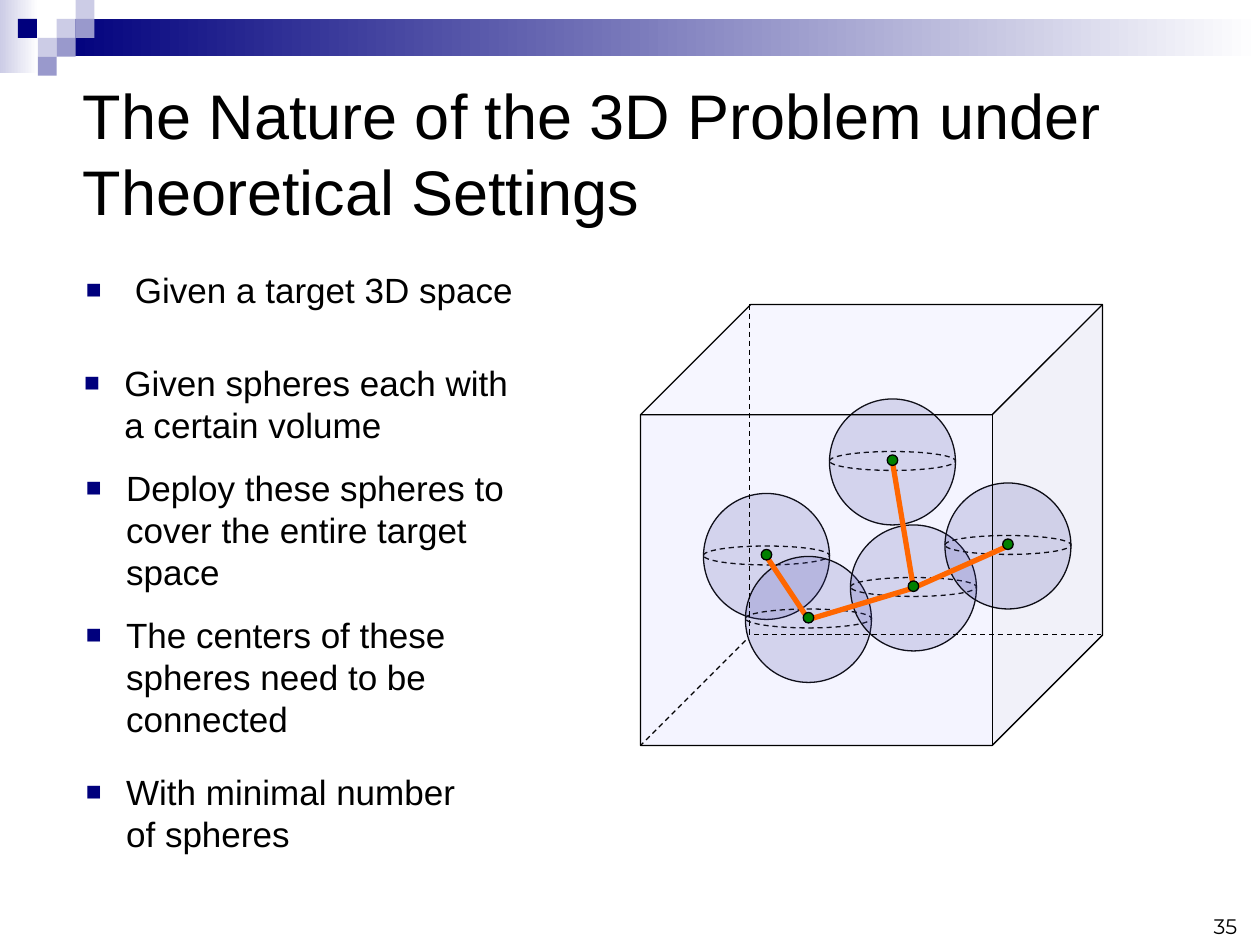
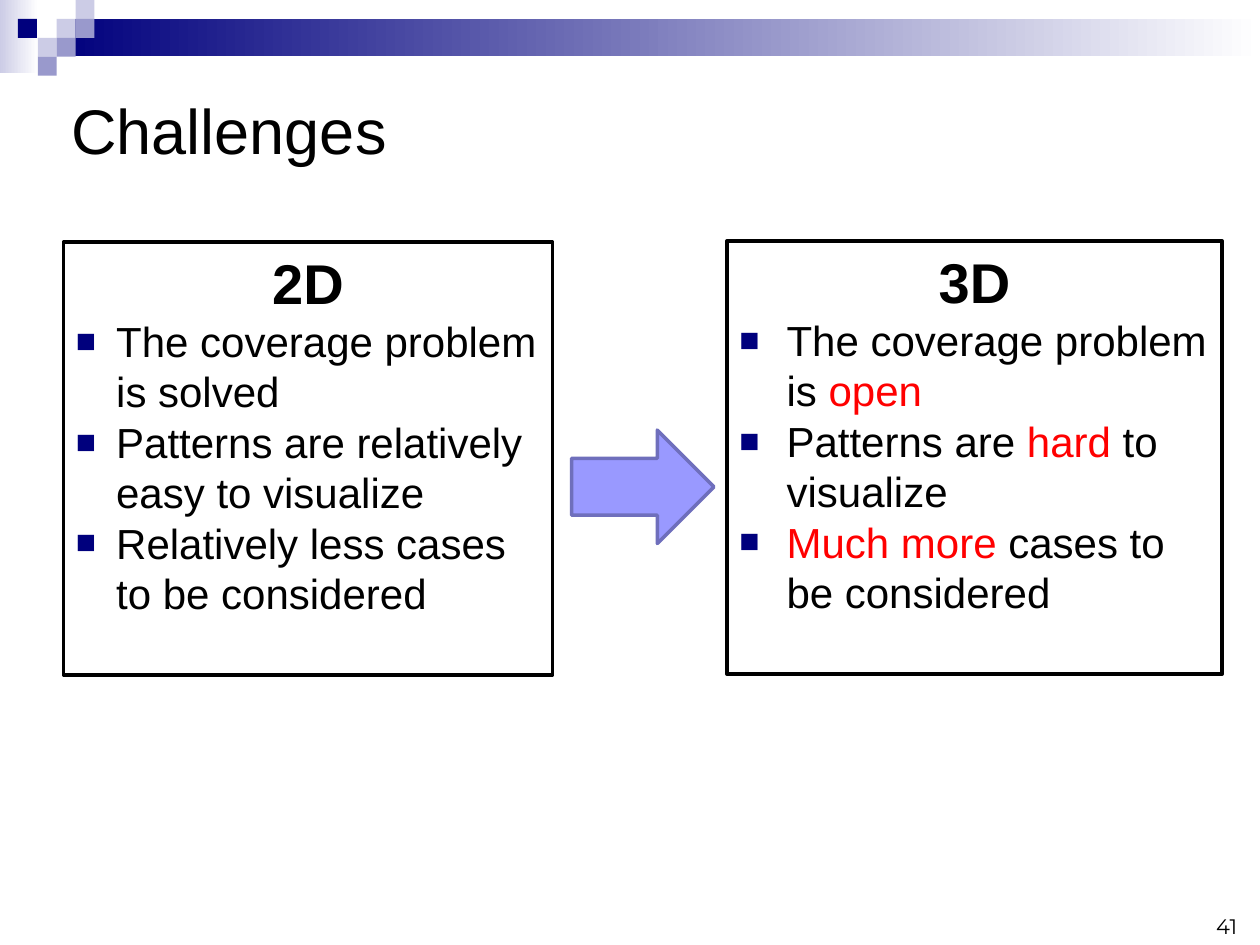
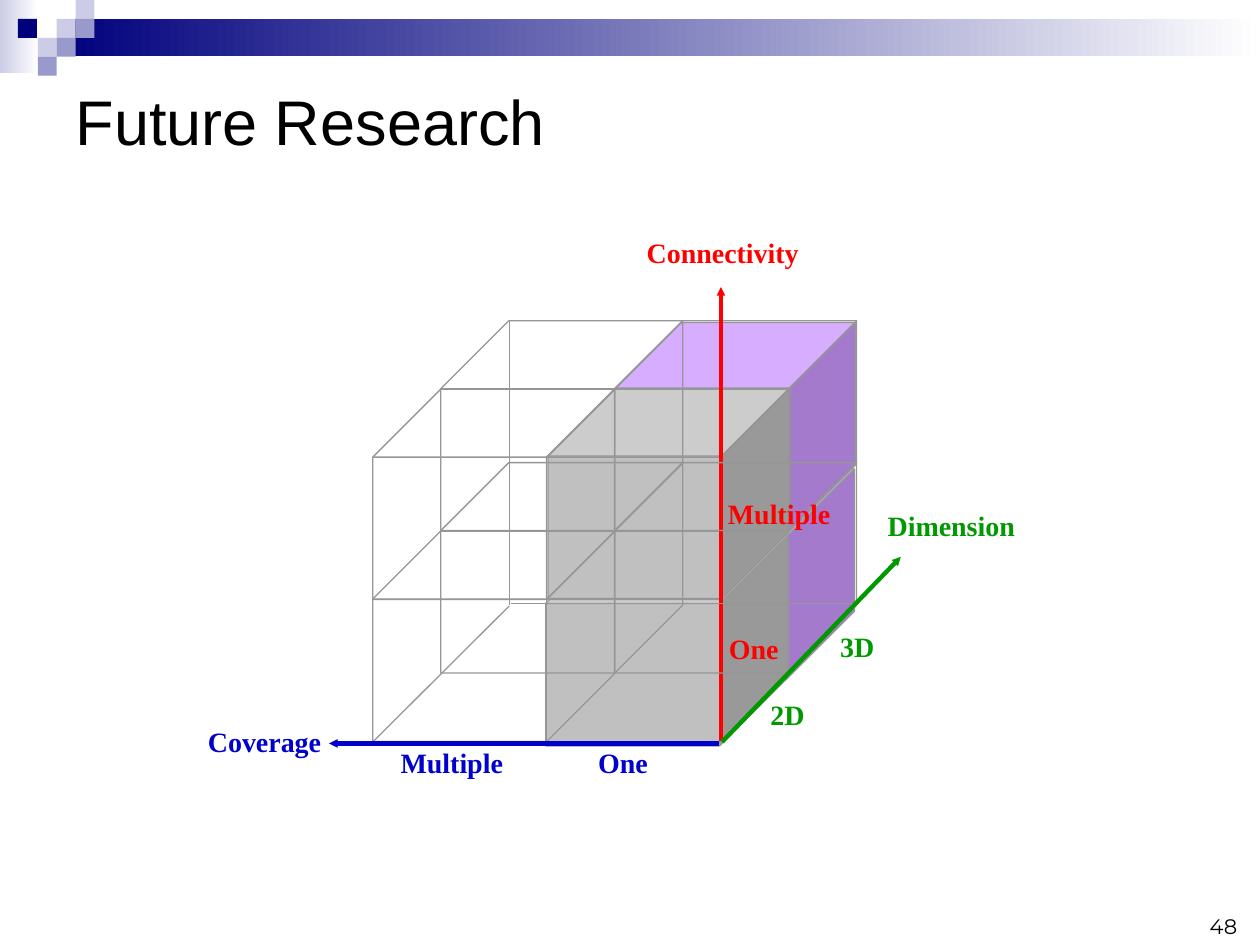
from lxml import etree
from pptx import Presentation
from pptx.dml.color import RGBColor
from pptx.enum.dml import MSO_LINE
from pptx.enum.shapes import MSO_CONNECTOR, MSO_SHAPE
from pptx.enum.text import MSO_ANCHOR, MSO_AUTO_SIZE, PP_ALIGN
from pptx.oxml.ns import qn
from pptx.util import Pt

RECTANGLE = MSO_SHAPE.RECTANGLE
ELLIPSE = MSO_SHAPE.OVAL
CUBE = MSO_SHAPE.CUBE
RIGHT_ARROW = MSO_SHAPE.RIGHT_ARROW
STRAIGHT = MSO_CONNECTOR.STRAIGHT
DASH = MSO_LINE.DASH
TOP, MIDDLE, BOTTOM = MSO_ANCHOR.TOP, MSO_ANCHOR.MIDDLE, MSO_ANCHOR.BOTTOM
LEFT, CENTER, RIGHT = PP_ALIGN.LEFT, PP_ALIGN.CENTER, PP_ALIGN.RIGHT
NO_AUTOFIT = MSO_AUTO_SIZE.NONE

COLORS = {
    "black": "000000", "white": "FFFFFF", "navy": "00007D",
    "pale": "CCCCE6", "lavender": "9999CC", "sphere": "333399",
    "periwinkle": "9999FF", "arrow edge": "6F6FBC", "orange": "FF6600",
    "node": "008000", "purple": "CC99FF", "silver": "C0C0C0",
    "gray": "969696", "red": "FF0000", "blue": "0000CC", "green": "009900",
}


def add_figure(slide, kind, bounds, fill=None, line=None, width=0.75, opacity=100, dash=None):
    shape = slide.shapes.add_shape(kind, *[Pt(value) for value in bounds])
    shape.shadow.inherit = False
    if fill:
        shape.fill.solid()
        shape.fill.fore_color.rgb = RGBColor.from_string(COLORS[fill])
        if opacity < 100:
            color = shape.element.spPr.find(qn("a:solidFill"))[0]
            etree.SubElement(color, qn("a:alpha"), val=str(opacity * 1000))
    else:
        shape.fill.background()
    if line:
        shape.line.color.rgb = RGBColor.from_string(COLORS[line])
        shape.line.width = Pt(width)
        if dash:
            shape.line.dash_style = dash
    else:
        shape.line.fill.background()
    return shape


def add_line(slide, start, end, color, width=0.75, dash=None, arrow=False):
    points = [Pt(value) for value in (*start, *end)]
    connector = slide.shapes.add_connector(STRAIGHT, *points)
    connector.line.color.rgb = RGBColor.from_string(COLORS[color])
    connector.line.width = Pt(width)
    if dash:
        connector.line.dash_style = dash
    properties = connector.element.spPr
    if arrow:
        outline = properties.find(qn("a:ln"))
        etree.SubElement(outline, qn("a:tailEnd"), type="triangle", w="sm", len="sm")
    etree.SubElement(properties, qn("a:effectLst"))


presentation = Presentation()
presentation.slide_width = Pt(720)
presentation.slide_height = Pt(540)
text_styles = []

TILE = 10.8
TILES = [
    (3, 1, "pale"), (4, 0, "pale"), (4, 1, "lavender"), (2, 2, "pale"),
    (0.95, 1, "navy"), (3, 2, "lavender"), (2, 3, "lavender"),
]
BANDS = [((0, 0, 22, 42), "pale"), ((32.4, 10.8, 687.6, 21.4), "navy")]
PAGES = [
    ("The Nature of the 3D Problem under Theoretical Settings", "35", (40, 40.3, 618, 93.6), TOP),
    ("Challenges", "41", (33.6, 52, 648, 44), MIDDLE),
    ("Future Research", "48", (36, 36, 648, 66), MIDDLE),
]
slides = []
for title_text, number, bounds, anchor in PAGES:
    slide = presentation.slides.add_slide(presentation.slide_layouts[5])
    slides.append(slide)
    for band_bounds, color in BANDS:
        band = add_figure(slide, RECTANGLE, band_bounds)
        band.fill.gradient()
        band.fill.gradient_angle = 0
        for stop, stop_color in zip(band.fill.gradient_stops, (color, "white")):
            stop.color.rgb = RGBColor.from_string(COLORS[stop_color])
    for column, row, color in TILES:
        add_figure(slide, RECTANGLE, (column * TILE, row * TILE, TILE, TILE), color)

    title = slide.shapes.title
    title.left, title.top, title.width, title.height = [Pt(value) for value in bounds]
    title.text_frame.text = title_text
    title.text_frame.word_wrap = True
    title.text_frame.auto_size = NO_AUTOFIT
    title.text_frame.vertical_anchor = anchor
    text_styles.append((title.text_frame.paragraphs[0], "Arial", 36, "black", False, LEFT, None))

    page_number = slide.shapes.add_textbox(Pt(546), Pt(504), Pt(168), Pt(36))
    page_number.text_frame.text = number
    page_number.text_frame.word_wrap = True
    page_number.text_frame.vertical_anchor = BOTTOM
    text_styles.append((page_number.text_frame.paragraphs[0], "Montserrat", 12, "black", False, RIGHT, None))

problem_slide, challenges_slide, research_slide = slides

STATEMENTS = [
    ("Given a target 3D space", 42, 150, 276, 1, 28),
    ("Given spheres each with a certain volume", 41, 203, 271, 2, 23),
    ("Deploy these spheres to cover the entire target space", 42, 263, 258, 3, 23),
    ("The centers of these spheres need to be connected", 42, 347, 294, 3, 23),
    ("With minimal number of spheres", 42, 437, 246, 2, 23),
]
for text, left, top, width, line_count, indent in STATEMENTS:
    statement = problem_slide.shapes.add_textbox(Pt(left), Pt(top), Pt(width), Pt(24 * line_count + 7.2))
    statement.text_frame.text = text
    statement.text_frame.word_wrap = True
    text_styles.append((statement.text_frame.paragraphs[0], "Arial", 20, "black", False, LEFT, (indent, 75)))

CENTERS = [(438, 318), (462, 354), (522, 336), (510, 264), (576, 312)]
LINKS = [(0, 1), (1, 2), (2, 3), (2, 4)]
for x, y in CENTERS:
    add_figure(problem_slide, ELLIPSE, (x - 36, y - 36, 72, 72), "sphere", "black", opacity=18)
    add_figure(problem_slide, ELLIPSE, (x - 36, y - 6, 72, 10.8), line="black", dash=DASH)
add_figure(problem_slide, CUBE, (366, 174, 264, 252), "periwinkle", "black", opacity=10)
for start, end in [((428.5, 174), (428.5, 364)), ((431, 362.5), (629, 362.5)), ((426, 366), (366, 426))]:
    add_line(problem_slide, start, end, "black", dash=DASH)
for first, second in LINKS:
    add_line(problem_slide, CENTERS[first], CENTERS[second], "orange", 3)
for x, y in CENTERS:
    add_figure(problem_slide, ELLIPSE, (x - 3, y - 4, 6, 6), "node", "black")

EMPHASIS = {"open", "hard", "Much more "}
CARDS = [
    ("2D", (36.3, 138.3, 279.4, 247.5), 23, [
        ["The coverage problem is solved"],
        ["Patterns are relatively easy to visualize"],
        ["Relatively less cases to be considered"],
    ]),
    ("3D", (415.4, 137.8, 283, 247.5), 27, [
        ["The coverage problem is ", "open"],
        ["Patterns are ", "hard", " to visualize"],
        ["Much more ", "cases to be considered"],
    ]),
]
for heading, bounds, indent, points in CARDS:
    card = add_figure(challenges_slide, RECTANGLE, bounds, "white", "black", 2)
    frame = card.text_frame
    frame.text = heading
    frame.word_wrap = True
    frame.vertical_anchor = TOP
    text_styles.append((frame.paragraphs[0], "Arial", 32, "black", True, CENTER, None))
    for parts in points:
        paragraph = frame.add_paragraph()
        for part in parts:
            paragraph.add_run().text = part
        text_styles.append((paragraph, "Arial", 24, "black", False, LEFT, (indent, 80)))
add_figure(challenges_slide, RIGHT_ARROW, (326.6, 245.8, 81.4, 64.8), "periwinkle", "arrow edge", 2)

CUBE_SIZE = (138.24, 120.24)
CUBE_DEPTH = 0.323
SOLID_CUBES = [
    (350, 268, "purple"), (350.6, 184.3, "purple"),
    (311.8, 306, "silver"), (313.2, 221.8, "silver"),
]
for left, top, color in SOLID_CUBES:
    cube = add_figure(research_slide, CUBE, (left, top, *CUBE_SIZE), color, "gray")
    cube.adjustments[0] = CUBE_DEPTH

WIRE_CELLS = [(depth, column, row) for depth in (1, 0) for column, row in ((0, 0), (0, 1), (1, 1))]
WIRE_CELLS.append((1, 1, 0))
for depth, column, row in WIRE_CELLS:
    if (column, row) == (1, 0):
        add_line(research_slide, (412, 423.5), (412, 164), "red", 2.5, arrow=True)
    left = 213 + 99.3 * column + 38.9 * depth
    top = 303.5 - 81.1 * row - 39.1 * depth
    wire = add_figure(research_slide, CUBE, (left, top, *CUBE_SIZE), line="gray")
    wire.adjustments[0] = CUBE_DEPTH
for start, end in [((291, 183.6), (291, 345.6)), ((292.3, 345), (490.3, 345)), ((291, 346.3), (213, 424))]:
    add_line(research_slide, start, end, "gray")

LABELS = [
    ("Coverage", (111.2, 405.4, 80, 36), "blue", CENTER),
    ("Connectivity", (363, 126, 100, 36), "red", CENTER),
    ("Dimension", (498.6, 282.2, 90, 36), "green", CENTER),
    ("3D", (465.8, 354.2, 48.2, 30), "green", CENTER),
    ("2D", (424, 390.2, 52, 36), "green", CENTER),
    ("Multiple", (218.2, 420.5, 80, 30), "blue", CENTER),
    ("One", (324.7, 420.5, 62.6, 30), "blue", CENTER),
    ("One", (396.7, 355.7, 48.2, 30), "red", RIGHT),
    ("Multiple", (394.5, 278.6, 80, 30), "red", RIGHT),
]
for text, bounds, color, alignment in LABELS:
    label = research_slide.shapes.add_textbox(*[Pt(value) for value in bounds])
    frame = label.text_frame
    frame.text = text
    frame.word_wrap = False
    frame.vertical_anchor = MIDDLE
    frame.margin_left = frame.margin_right = frame.margin_top = frame.margin_bottom = 0
    text_styles.append((frame.paragraphs[0], "Times New Roman", 16, color, True, alignment, None))
add_line(research_slide, (412.6, 424), (514.8, 318.2), "green", 2.5, arrow=True)
add_line(research_slide, (411, 424.8), (188, 424.8), "blue", 2.5, arrow=True)

for paragraph, font_name, size, color, bold, alignment, bullet in text_styles:
    paragraph.alignment = alignment
    if font_name == "Arial":
        paragraph.line_spacing = Pt(size * 1.2)
    if bullet:
        indent, percent = bullet
        properties = paragraph._p.get_or_add_pPr()
        properties.set("marL", str(Pt(indent)))
        properties.set("indent", str(-Pt(indent)))
        bullet_color = etree.SubElement(properties, qn("a:buClr"))
        etree.SubElement(bullet_color, qn("a:srgbClr"), val=COLORS["navy"])
        etree.SubElement(properties, qn("a:buSzPct"), val=str(percent * 1000))
        etree.SubElement(properties, qn("a:buFont"), typeface="Arial")
        etree.SubElement(properties, qn("a:buChar"), char="■")
    for run in paragraph.runs:
        run_color = "red" if run.text in EMPHASIS else color
        run.font.name = font_name
        run.font.size = Pt(size)
        run.font.bold = bold
        run.font.color.rgb = RGBColor.from_string(COLORS[run_color])

presentation.save("out.pptx")
